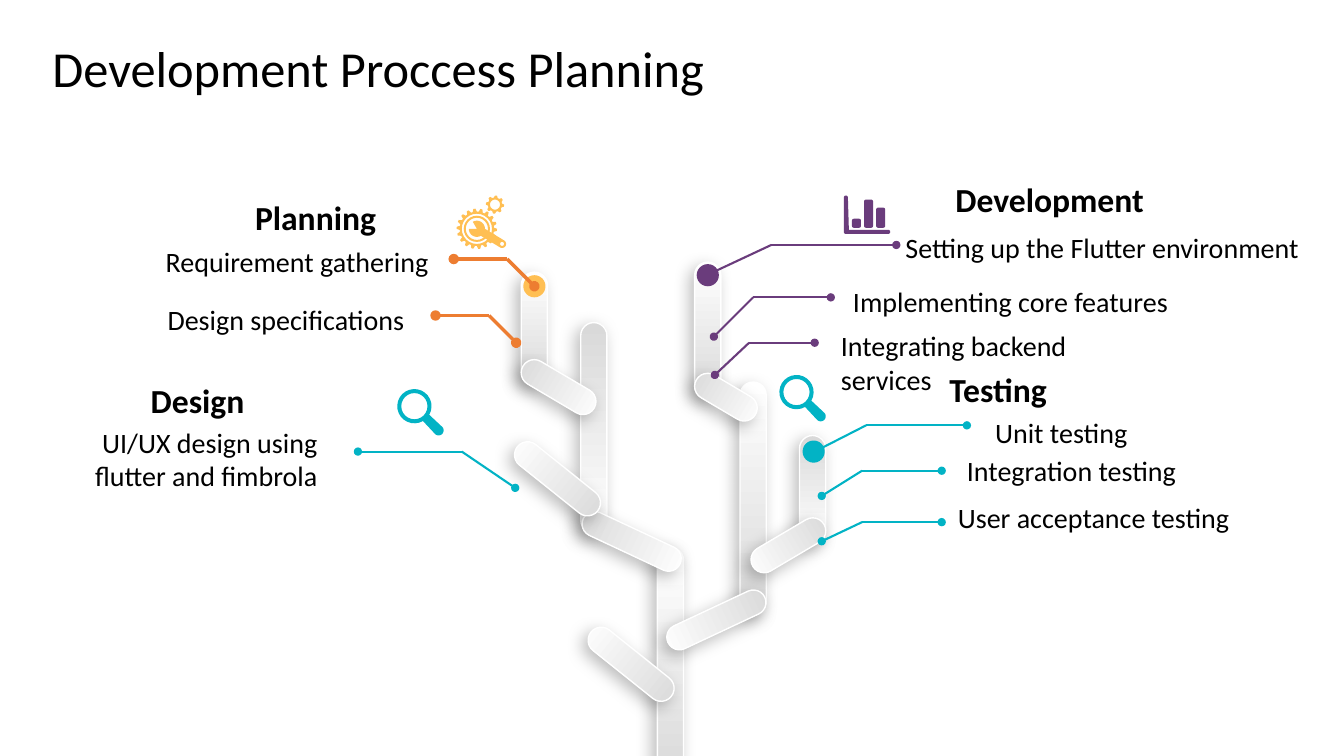
import math
from dataclasses import dataclass

import pptx
import pptx.util
import pptx.dml.color
import pptx.enum.shapes
import pptx.enum.text
import pptx.oxml
import pptx.oxml.ns

Inches = pptx.util.Inches
SHAPE = pptx.enum.shapes.MSO_SHAPE


@dataclass(frozen=True)
class Theme:
    font: str = "Calibri"
    ink: str = "000000"
    white: str = "FFFFFF"
    grey: str = "D9D9D9"
    teal: str = "02B3C5"
    purple: str = "6A3C7C"
    amber: str = "FFBF53"
    orange: str = "ED7D31"
    title_size: int = 36
    heading_size: int = 24
    item_size: int = 20


THEME = Theme()
TITLE = ("Development Proccess Planning", (0.42, 0.32, 6.67, 0.71))

HEADINGS = [
    ("Planning", (2.02, 1.95, 2.22, 0.37)),
    ("Development", (9.34, 1.78, 2.14, 0.4)),
    ("Design", (0.91, 3.77, 2.1, 0.4)),
    ("Testing", (8.83, 3.66, 2.14, 0.4)),
]
LEFT_ITEMS = [
    ("Requirement gathering", (0.91, 2.43, 3.34, 0.34)),
    ("Design specifications", (1.46, 3, 2.55, 0.34)),
    ("UI/UX design using flutter and fimbrola", (0.42, 4.22, 2.73, 1.27)),
]
RIGHT_ITEMS = [
    ("Setting up the Flutter environment", (8.98, 2.29, 4.35, 0.41)),
    ("Implementing core features", (8.46, 2.82, 3.61, 0.34)),
    ("Integrating backend services", (8.34, 3.26, 3.1, 0.68)),
    ("Unit testing", (9.87, 4.12, 1.8, 0.34)),
    ("Integration testing", (9.59, 4.5, 2.79, 0.34)),
    ("User acceptance testing", (9.5, 4.97, 3.6, 0.34)),
]

LIGHT_TOP, DARK_TOP = 270, 90
BRANCHES = [
    ((6.52, 5.43, 0.26, 2.34), 0, LIGHT_TOP),
    ((6.13, 6.08, 0.26, 1.02), 308.7, LIGHT_TOP),
    ((5.76, 3.2, 0.26, 2.09), 0, DARK_TOP),
    ((6.14, 4.84, 0.25, 1.06), 295.1, DARK_TOP),
    ((7.34, 3.79, 0.26, 2.3), 0, LIGHT_TOP),
    ((6.98, 5.62, 0.25, 1.06), 64.9, DARK_TOP),
    ((6.89, 2.6, 0.26, 1.33), 0, LIGHT_TOP),
    ((7.07, 3.6, 0.26, 0.68), 300.6, DARK_TOP),
    ((7.93, 4.32, 0.26, 1.05), 0, DARK_TOP),
    ((7.69, 5, 0.26, 0.82), 59.4, DARK_TOP),
    ((5.17, 2.7, 0.26, 1.1), 0, LIGHT_TOP),
    ((5.41, 3.43, 0.26, 0.82), 300.6, DARK_TOP),
    ((5.4, 4.24, 0.26, 1.02), 308.7, LIGHT_TOP),
]
BUDS = [(7.96, 4.37, THEME.teal), (6.91, 2.62, THEME.purple), (5.19, 2.73, THEME.amber)]
BUD_SIZE = 0.22

CALLOUTS = [
    (THEME.purple, 1.5, [
        ((7.01, 2.73), (7.65, 2.43), 8.89),
        ((7.08, 3.34), (7.47, 2.95), 8.24),
        ((7.09, 3.72), (7.43, 3.4), 8.08),
    ]),
    (THEME.teal, 1.5, [
        ((8.08, 4.48), (8.59, 4.22), 9.59),
        ((8.15, 4.92), (8.55, 4.67), 9.34),
        ((8.15, 5.37), (8.55, 5.18), 9.34),
        ((5.11, 4.84), (4.58, 4.48), 3.55),
    ]),
    (THEME.orange, 2.5, [
        ((5.12, 3.4), (4.85, 3.13), 4.32),
        ((5.3, 2.84), (5.03, 2.57), 4.5),
    ]),
]


def rgb(color):
    return pptx.dml.color.RGBColor.from_string(color)


def write(frame, text, *, size, bold=False, align="LEFT", inset=0):
    frame.word_wrap = True
    frame.auto_size = pptx.enum.text.MSO_AUTO_SIZE.NONE
    frame.vertical_anchor = pptx.enum.text.MSO_ANCHOR.TOP
    frame.margin_left = frame.margin_right = Inches(inset)
    frame.margin_top = frame.margin_bottom = Inches(inset / 2)
    para = frame.paragraphs[0]
    para.alignment = getattr(pptx.enum.text.PP_ALIGN, align)
    span = para.add_run()
    span.text = text
    span.font.name = THEME.font
    span.font.size = pptx.util.Pt(size)
    span.font.bold = bold
    span.font.color.rgb = rgb(THEME.ink)


def add_text(page, text, place, **style):
    box = page.shapes.add_textbox(*map(Inches, place))
    write(box.text_frame, text, **style)


def paint(shape, color):
    shape.shadow.inherit = False
    shape.fill.solid()
    shape.fill.fore_color.rgb = rgb(color)
    shape.line.fill.background()


def add_branch(page, place, turn, angle):
    branch = page.shapes.add_shape(SHAPE.ROUNDED_RECTANGLE, *map(Inches, place))
    branch.adjustments[0] = 0.5
    branch.rotation = turn
    branch.fill.gradient()
    branch.fill.gradient_angle = angle
    for stop, position, color in zip(branch.fill.gradient_stops, (0, 1), (THEME.white, THEME.grey)):
        stop.position = position
        stop.color.rgb = rgb(color)
    branch.line.color.rgb = rgb(THEME.white)
    branch.line.width = pptx.util.Pt(1)
    branch.shadow.inherit = False
    effects = branch._element.spPr.find(pptx.oxml.ns.qn("a:effectLst"))
    effects.append(pptx.oxml.parse_xml(
        f'<a:outerShdw {pptx.oxml.ns.nsdecls("a")} blurRad="152400" dist="63500" dir="8100000" '
        'algn="tr" rotWithShape="0"><a:srgbClr val="000000"><a:alpha val="26000"/>'
        '</a:srgbClr></a:outerShdw>'))


def add_segment(page, start, end, color, width, dotted_end):
    line = page.shapes.add_connector(
        pptx.enum.shapes.MSO_CONNECTOR.STRAIGHT, *map(Inches, (*start, *end)))
    line.line.color.rgb = rgb(color)
    line.line.width = pptx.util.Pt(width)
    outline = line.line._get_or_add_ln()
    outline.append(outline.makeelement(pptx.oxml.ns.qn(f"a:{dotted_end}"), {"type": "oval"}))
    properties = line._element.spPr
    properties.append(properties.makeelement(pptx.oxml.ns.qn("a:effectLst"), {}))


def arc(x, y, radius, first=0, last=360, steps=24):
    angles = [math.radians(first + (last - first) * i / steps) for i in range(steps + 1)]
    return [(x + radius * math.cos(a), y + radius * math.sin(a)) for a in angles]


def gear(x, y, outer, inner, teeth):
    step = 360 / teeth
    return [point for i in range(teeth) for radius, shift in ((outer, 0), (inner, 0.5))
            for point in arc(x, y, radius, (i + shift) * step, (i + shift + 0.3) * step, 2)]


def rounded_bar(left, top, right, bottom, radius=0.02):
    corners = [(right - radius, bottom - radius), (left + radius, bottom - radius),
               (left + radius, top + radius), (right - radius, top + radius)]
    return [point for i, (x, y) in enumerate(corners)
            for point in arc(x, y, radius, i * 90, i * 90 + 90, 4)]


def add_icon(page, left, top, color, contours):
    outlines = [[(Inches(left + x), Inches(top + y)) for x, y in points] for points in contours]
    builder = page.shapes.build_freeform(*outlines[0][0])
    for i, points in enumerate(outlines):
        if i:
            builder.move_to(*points[0])
        builder.add_line_segments(points[1:], close=True)
    paint(builder.convert_to_shape(), color)


MAGNIFIER = [arc(0.18, 0.17, 0.17, 60, 390) + arc(0.42, 0.41, 0.05, -45, 135),
             arc(0.18, 0.17, 0.13)]
BAR_CHART = [
    arc(0.02, 0.02, 0.02, 180, 360) + [(0.05, 0.34)]
    + arc(0.44, 0.36, 0.02, -90, 90) + arc(0.02, 0.36, 0.02, 90, 180),
    *[rounded_bar(x, y, x + 0.09, 0.32) for x, y in ((0.08, 0.23), (0.2, 0.04), (0.32, 0.12))],
]
GEARS = [gear(0.2, 0.33, 0.2, 0.17, 18), arc(0.2, 0.33, 0.15), arc(0.2, 0.33, 0.13),
         arc(0.2, 0.33, 0.11), gear(0.38, 0.09, 0.09, 0.07, 8), arc(0.38, 0.09, 0.05)]
WRENCH = [arc(0.2, 0.33, 0.08, 60, 180) + [(0.2, 0.33)] + arc(0.2, 0.33, 0.08, 240, 360)
          + arc(0.45, 0.48, 0.04, -60, 120), arc(0.45, 0.48, 0.02)]
ICONS = [(3.93, 3.86, THEME.teal, MAGNIFIER), (7.72, 3.72, THEME.teal, MAGNIFIER),
         (8.37, 1.94, THEME.purple, BAR_CHART), (4.53, 1.94, THEME.amber, GEARS),
         (4.53, 1.94, THEME.amber, WRENCH)]


def main():
    deck = pptx.Presentation()
    deck.slide_width, deck.slide_height = Inches(13.33), Inches(7.5)
    page = deck.slides.add_slide(deck.slide_layouts[5])
    title = page.shapes.title
    title.left, title.top, title.width, title.height = map(Inches, TITLE[1])
    write(title.text_frame, TITLE[0], size=THEME.title_size, inset=0.1)
    for branch in BRANCHES:
        add_branch(page, *branch)
    for left, top, color in BUDS:
        paint(page.shapes.add_shape(SHAPE.OVAL, *map(Inches, (left, top, BUD_SIZE, BUD_SIZE))), color)
    for color, width, routes in CALLOUTS:
        for start, elbow, end_x in routes:
            add_segment(page, start, elbow, color, width, "headEnd")
            add_segment(page, elbow, (end_x, elbow[1]), color, width, "tailEnd")
    for icon in ICONS:
        add_icon(page, *icon)
    for text, place in HEADINGS:
        add_text(page, text, place, size=THEME.heading_size, bold=True, align="CENTER")
    for items, align in ((LEFT_ITEMS, "RIGHT"), (RIGHT_ITEMS, "LEFT")):
        for text, place in items:
            add_text(page, text, place, size=THEME.item_size, align=align)
    deck.save("out.pptx")


if __name__ == "__main__":
    main()
